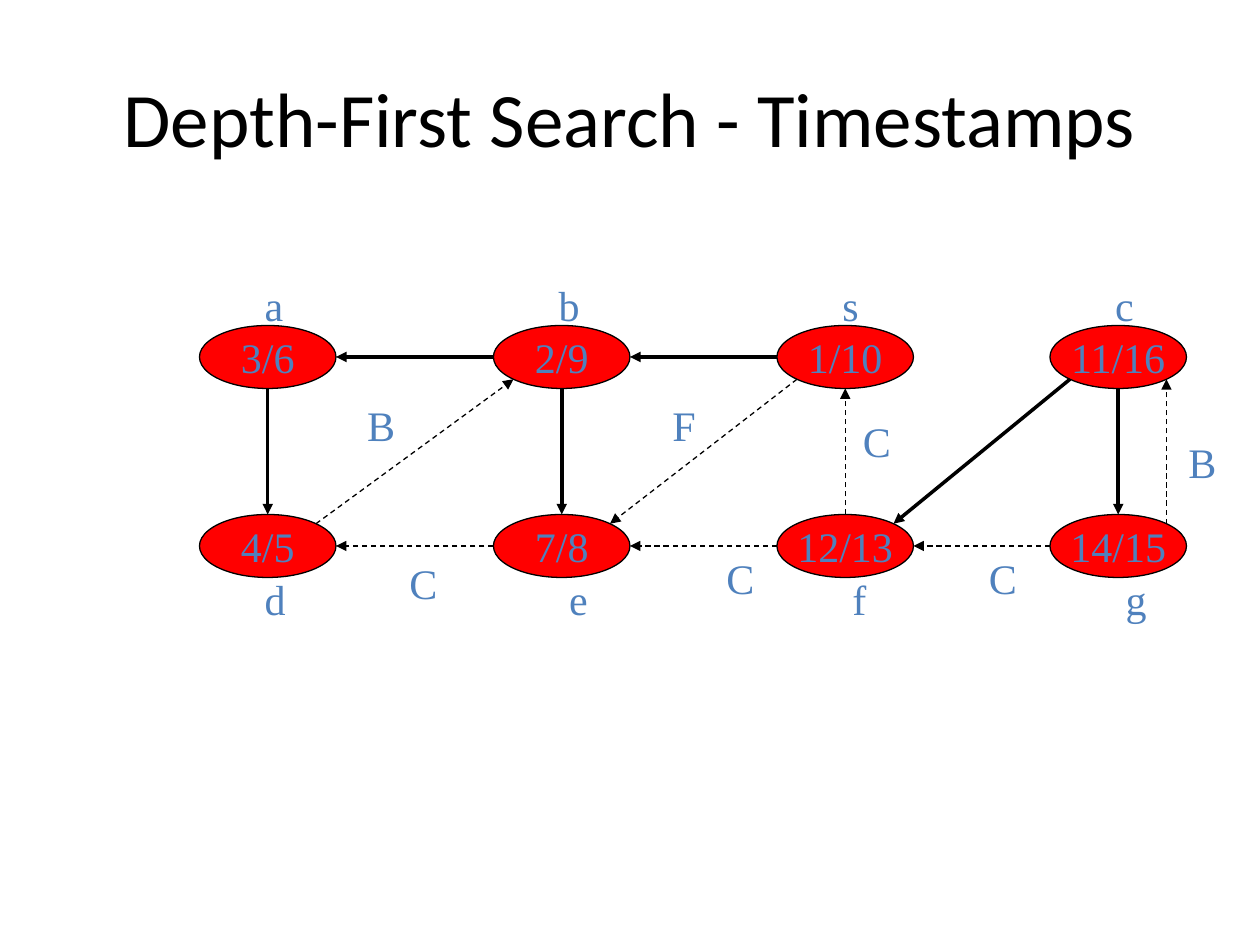
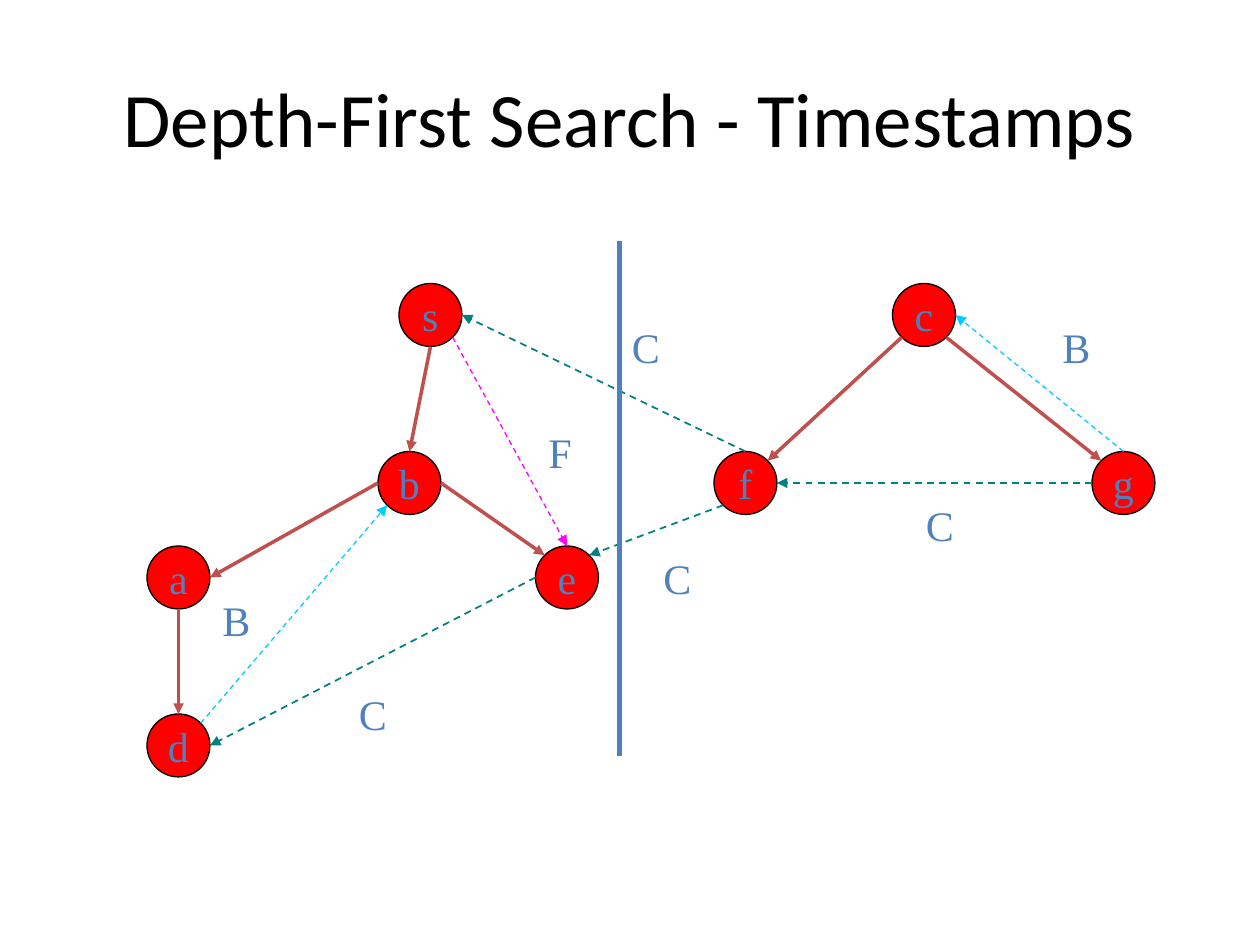
from math import cos, pi, sin

from pptx import Presentation
from pptx.dml.color import RGBColor
from pptx.enum.dml import MSO_LINE
from pptx.enum.shapes import MSO_CONNECTOR, MSO_SHAPE
from pptx.enum.text import MSO_ANCHOR, MSO_AUTO_SIZE, PP_ALIGN
from pptx.oxml.ns import qn
from pptx.util import Inches, Pt
from lxml.etree import SubElement

TITLE = "Depth-First Search - Timestamps"
COLORS = {"node": "FF0000", "ink": "000000", "label": "4F81BD", "tree": "C0504D",
          "cross": "008080", "back": "00CCFF", "forward": "FF00FF"}

# The slide is a grid of 120 columns and 90 rows of square cells
COLS, ROWS = 120, 90
CELL = Inches(10) / COLS
NODE_H = 6
LABEL_H = 6
LABEL_W = {"a": 4.2, "b": 4.4, "c": 4.2, "d": 4.4, "e": 4.2, "f": 3.7, "g": 4.4,
           "s": 4, "B": 5, "C": 5, "F": 4.7}

# Connection sites of an ellipse, counter-clockwise from the top
PORTS = ["n", "nw", "w", "sw", "s", "se", "e", "ne"]

# Edge styles: colour, width in points, dashed
PLAIN_EDGES = {"tree": ("ink", 2, False), "back": ("ink", 0.75, True),
               "forward": ("ink", 0.75, True), "cross": ("ink", 0.75, True)}
COLOURED_EDGES = {"tree": ("tree", 2, False), "back": ("back", 0.75, True),
                  "forward": ("forward", 0.75, True), "cross": ("cross", 1, True)}


def rgb(name):
    return RGBColor.from_string(COLORS[name])


def cells(*values):
    return [round(v * CELL) for v in values]


def write(s, text, font, size, color):
    tf = s.text_frame
    tf.text = text
    p = tf.paragraphs[0]
    p.alignment = PP_ALIGN.CENTER
    p.font.name, p.font.size = font, Pt(size)
    p.font.color.rgb = rgb(color)
    return tf


def add_titled_slide(prs):
    slide = prs.slides.add_slide(prs.slide_layouts[5])
    title = slide.shapes.title
    title.left, title.top, title.width, title.height = cells(6, 3.6, 108, 15)
    tf = write(title, TITLE, "Calibri", 44, "ink")
    tf.vertical_anchor = MSO_ANCHOR.MIDDLE
    return slide


def add_node(slide, text, x, y, width):
    s = slide.shapes.add_shape(MSO_SHAPE.FLOWCHART_CONNECTOR, *cells(x, y, width, NODE_H))
    s.shadow.inherit = False
    s.fill.solid()
    s.fill.fore_color.rgb = rgb("node")
    s.line.color.rgb = rgb("ink")
    s.line.width = Pt(0.75)
    tf = write(s, text, "Times New Roman", 24, "label")
    tf.word_wrap = False
    tf.vertical_anchor = MSO_ANCHOR.MIDDLE
    return s


def add_label(slide, text, x, y):
    s = slide.shapes.add_textbox(*cells(x, y, LABEL_W[text], LABEL_H))
    tf = write(s, text, "Times New Roman", 24, "label")
    tf.word_wrap = False
    tf.auto_size = MSO_AUTO_SIZE.SHAPE_TO_FIT_TEXT


def add_line(slide, start, end, color, width):
    s = slide.shapes.add_connector(MSO_CONNECTOR.STRAIGHT, *start, *end)
    s.line.color.rgb = rgb(color)
    s.line.width = Pt(width)
    SubElement(s._element.spPr, qn("a:effectLst"))
    return s


def port_point(node, port):
    angle = pi / 2 + PORTS.index(port) * pi / 4
    return (round(node.left + node.width * (1 + cos(angle)) / 2),
            round(node.top + node.height * (1 - sin(angle)) / 2))


def add_edge(slide, nodes, edge, styles):
    """Draw an arrow such as 'tree s.w b.e' and glue it to both nodes."""
    kind, *ends = edge.split()
    ends = [end.split(".") for end in ends]
    color, width, dashed = styles[kind]
    s = add_line(slide, *(port_point(nodes[n], port) for n, port in ends), color, width)
    if dashed:
        s.line.dash_style = MSO_LINE.DASH
    SubElement(s.line._get_or_add_ln(), qn("a:tailEnd"), type="triangle")
    # Ellipses have eight sites, so the joints are written directly
    joints = s._element.nvCxnSpPr.cNvCxnSpPr
    for tag, (n, port) in zip(("a:stCxn", "a:endCxn"), ends):
        SubElement(joints, qn(tag), id=str(nodes[n].shape_id), idx=str(PORTS.index(port)))


def draw_graph(slide, box, nodes, node_width, edges, styles, labels):
    """Nodes map a vertex to (text, x, y); all places count from the box corner."""
    left, top = box
    shapes = {name: add_node(slide, text, left + x, top + y, node_width)
              for name, (text, x, y) in nodes.items()}
    for edge in edges:
        add_edge(slide, shapes, edge, styles)
    for text, x, y in labels:
        add_label(slide, text, left + x, top + y)


def timestamp_graph(slide, box):
    columns = [0, 28, 55, 81]
    rows = [  # vertices, timestamps, node row, label row, label shifts
        ("absc", ["3/6", "2/9", "1/10", "11/16"], 5, 0, [5, 5, 5, 5]),
        ("defg", ["4/5", "7/8", "12/13", "14/15"], 23, 28, [5, 6, 6, 6]),
    ]
    nodes, labels = {}, []
    for names, stamps, node_y, label_y, shifts in rows:
        for name, stamp, x, shift in zip(names, stamps, columns, shifts):
            nodes[name] = (stamp, x, node_y)
            labels.append((name, x + shift, label_y))
    edges = ["tree s.w b.e", "tree b.w a.e", "tree a.s d.n", "tree b.s e.n",
             "tree c.sw f.ne", "tree c.s g.n", "back d.ne b.sw", "back g.ne c.se",
             "forward s.sw e.ne", "cross e.w d.e", "cross f.w e.e", "cross f.n s.s",
             "cross g.w f.e"]
    # Edge classes
    labels += [("B", 14.8, 11.5), ("F", 43.8, 11.5), ("C", 18.8, 26.5), ("C", 49, 26),
               ("C", 62, 13), ("C", 74, 26), ("B", 93, 15)]
    draw_graph(slide, box, nodes, 13, edges, PLAIN_EDGES, labels)


def search_forest(slide, box):
    places = {"s": (24, 4), "b": (22, 20), "a": (0, 29), "e": (37, 29), "d": (0, 45),
              "c": (71, 4), "f": (54, 20), "g": (90, 20)}
    nodes = {name: (name, *place) for name, place in places.items()}
    edges = ["tree s.s b.n", "tree b.w a.e", "tree b.e e.nw", "tree a.s d.n",
             "tree c.sw f.ne", "tree c.se g.nw", "back d.ne b.sw", "back g.n c.e",
             "forward s.se e.n", "cross e.w d.e", "cross f.sw e.ne", "cross f.n s.e",
             "cross g.w f.e"]
    labels = [("B", 86, 7), ("F", 37, 17), ("C", 19, 42), ("C", 73, 24), ("C", 48, 29),
              ("C", 45, 7), ("B", 6, 33)]
    draw_graph(slide, box, nodes, NODE_H, edges, COLOURED_EDGES, labels)
    # Divider between the two trees
    left, top = box
    add_line(slide, cells(left + 45, top), cells(left + 45, top + 49), "label", 3)


def main():
    prs = Presentation()
    prs.slide_width, prs.slide_height = cells(COLS, ROWS)
    timestamp_graph(add_titled_slide(prs), (19, 26))
    search_forest(add_titled_slide(prs), (14, 23))
    prs.save("out.pptx")


if __name__ == "__main__":
    main()
